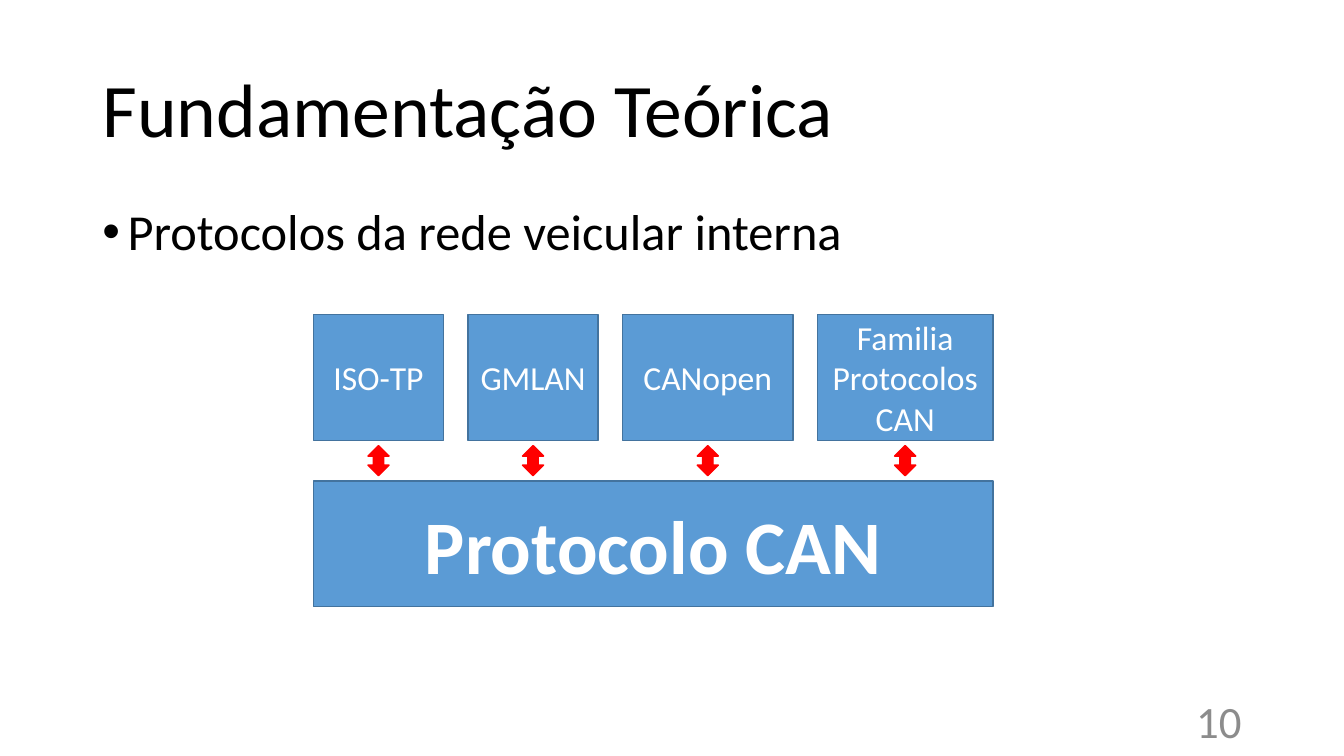
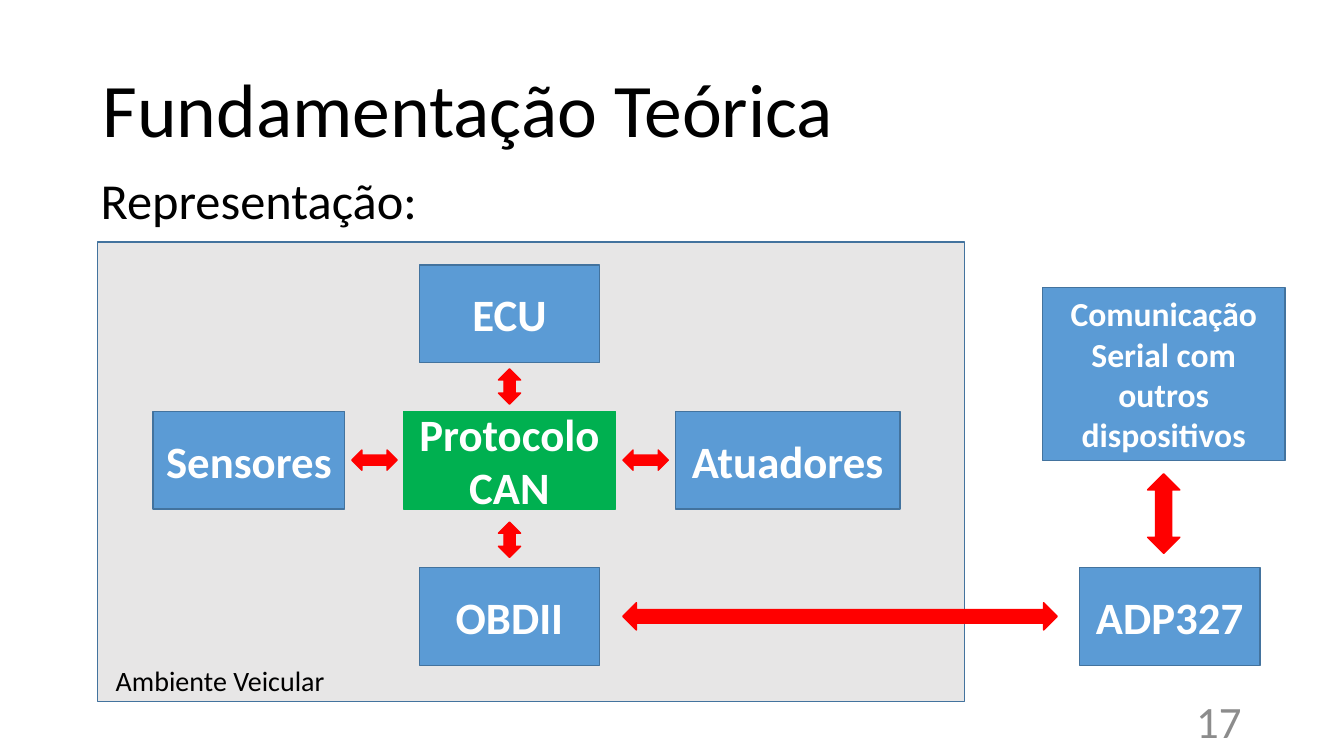
import pptx
import pptx.util
import pptx.dml.color
import pptx.enum.shapes
import pptx.enum.text
import pptx.oxml.ns
import lxml.etree

deck = pptx.Presentation()
deck.slide_width = pptx.util.Inches(13.333)
deck.slide_height = pptx.util.Inches(7.5)
COLUMN = deck.slide_width / 80
ROW = deck.slide_height / 45

KIND = pptx.enum.shapes.MSO_SHAPE
ALIGN = pptx.enum.text.PP_ALIGN
ANCHOR = pptx.enum.text.MSO_ANCHOR
BLUE, EDGE, RED, GREEN = "5B9BD5", "43739E", "FF0000", "00B050"
GRAY, BLACK, WHITE, MUTED = "E7E6E6", "000000", "FFFFFF", "8C8C8C"

BODY_PARA = {"line_spacing": 0.9, "space_before": pptx.util.Pt(10)}
CENTERED = {"alignment": ALIGN.CENTER}
MIDDLE = {"word_wrap": True, "vertical_anchor": ANCHOR.MIDDLE}
TOP = {"word_wrap": True, "vertical_anchor": ANCHOR.TOP}


def paint(target, color):
    target.rgb = pptx.dml.color.RGBColor.from_string(color)


def place(page, kind, area, fill=None, line=None, text="", size=24,
          bold=False, color=WHITE, para_format=CENTERED, frame_format=MIDDLE):
    left, top, width, height = area
    bounds = [int(value) for value in
              (left * COLUMN, top * ROW, width * COLUMN, height * ROW)]
    if kind is None:
        box = page.shapes.add_textbox(*bounds)
    else:
        box = page.shapes.add_shape(kind, *bounds)
        box.shadow.inherit = False
        box.fill.solid()
        paint(box.fill.fore_color, fill)
        paint(box.line.color, line)
        box.line.width = pptx.util.Pt(1)
    if text:
        for name, value in frame_format.items():
            setattr(box.text_frame, name, value)
        para = box.text_frame.paragraphs[0]
        for name, value in para_format.items():
            setattr(para, name, value)
        span = para.add_run()
        span.text = text
        font_format = {"name": "Calibri", "size": pptx.util.Pt(size), "bold": bold}
        for name, value in font_format.items():
            setattr(span.font, name, value)
        paint(span.font.color, color)
    return box


pages = []
for number in ("10", "17"):
    page = deck.slides.add_slide(deck.slide_layouts[6])
    pages.append(page)
    place(page, None, (5.5, 2.4, 69, 8.7), text="Fundamentação Teórica", size=54,
          color=BLACK, para_format={"line_spacing": 0.9})
    place(page, None, (56.5, 41.7, 18, 2.4), text=number, size=32,
          color=MUTED, para_format={"alignment": ALIGN.RIGHT})
protocols, vehicle = pages

body = place(protocols, None, (5.5, 12, 69, 28.5), text="Protocolos da rede veicular interna",
             size=36, color=BLACK, para_format=BODY_PARA, frame_format=TOP)
properties = body.text_frame.paragraphs[0]._p.get_or_add_pPr()
indent = pptx.util.Inches(0.25)
properties.set("marL", str(indent))
properties.set("indent", str(-indent))
for tag, key, value in (("a:buFont", "typeface", "Arial"), ("a:buChar", "char", "•")):
    lxml.etree.SubElement(properties, pptx.oxml.ns.qn(tag)).set(key, value)

stack_left, stack_width, layer_height = 18.66, 40.44, 7.5
upper_top, base_top = 18.72, 28.62
place(protocols, KIND.RECTANGLE, (stack_left, base_top, stack_width, layer_height),
      BLUE, EDGE, "Protocolo CAN", 54, True)
upper_layer = [("ISO-TP", 7.74), ("GMLAN", 7.74), ("CANopen", 10.14),
               ("Familia Protocolos CAN", 10.44)]
gap = (stack_width - sum(width for _, width in upper_layer)) / (len(upper_layer) - 1)
arrow_width, arrow_height = 1.26, 1.8
arrow_top = (upper_top + layer_height + base_top - arrow_height) / 2
left = stack_left
for label, width in upper_layer:
    place(protocols, KIND.RECTANGLE, (left, upper_top, width, layer_height), BLUE, EDGE, label)
    place(protocols, KIND.UP_DOWN_ARROW,
          (left + (width - arrow_width) / 2, arrow_top, arrow_width, arrow_height), RED, RED)
    left += width + gap

place(vehicle, KIND.RECTANGLE, (5.82, 14.4, 51.6, 27.36), GRAY, EDGE)
place(vehicle, None, (5.4, 10.2, 69, 28.5), text="Representação:", size=36,
      color=BLACK, para_format=BODY_PARA, frame_format=TOP)

hub, adapter = 30.33, 69.63
top_row, middle_row, bottom_row = 18.69, 27.39, 36.69
node_height = 5.82
nodes = [
    ("ECU", hub, top_row, 10.74, node_height, BLUE, EDGE, 32),
    ("Protocolo CAN", hub, middle_row, 12.6, node_height, GREEN, GREEN, 32),
    ("Sensores", 14.82, middle_row, 11.4, node_height, BLUE, EDGE, 32),
    ("Atuadores", 46.89, middle_row, 13.38, node_height, BLUE, EDGE, 32),
    ("OBDII", hub, bottom_row, 10.74, node_height, BLUE, EDGE, 32),
    ("ADP327", adapter, bottom_row, 10.74, node_height, BLUE, EDGE, 32),
    ("Comunicação Serial com outros dispositivos", 69.27, 22.26, 14.46, 10.32, BLUE, EDGE, 24),
]
for label, center, middle, width, height, fill, line, size in nodes:
    place(vehicle, KIND.RECTANGLE, (center - width / 2, middle - height / 2, width, height),
          fill, line, label, size, True)

arrows = [
    (KIND.LEFT_RIGHT_ARROW, 22.29, middle_row, 2.7, 1.2),
    (KIND.LEFT_RIGHT_ARROW, 38.43, middle_row, 2.7, 1.2),
    (KIND.UP_DOWN_ARROW, hub, 23.01, 1.32, 2.1),
    (KIND.UP_DOWN_ARROW, hub, 32.13, 1.32, 2.1),
    (KIND.LEFT_RIGHT_ARROW, 50, bottom_row, 25.86, 1.62),
    (KIND.UP_DOWN_ARROW, 69.27, 30.57, 1.92, 4.74),
]
for kind, center, middle, width, height in arrows:
    place(vehicle, kind, (center - width / 2, middle - height / 2, width, height), RED, RED)

place(vehicle, None, (6.3, 39.18, 13.8, 2.64), text="Ambiente Veicular", size=20, color=BLACK,
      para_format={"alignment": ALIGN.LEFT},
      frame_format={"word_wrap": False, "vertical_anchor": ANCHOR.TOP})

deck.save("out.pptx")
